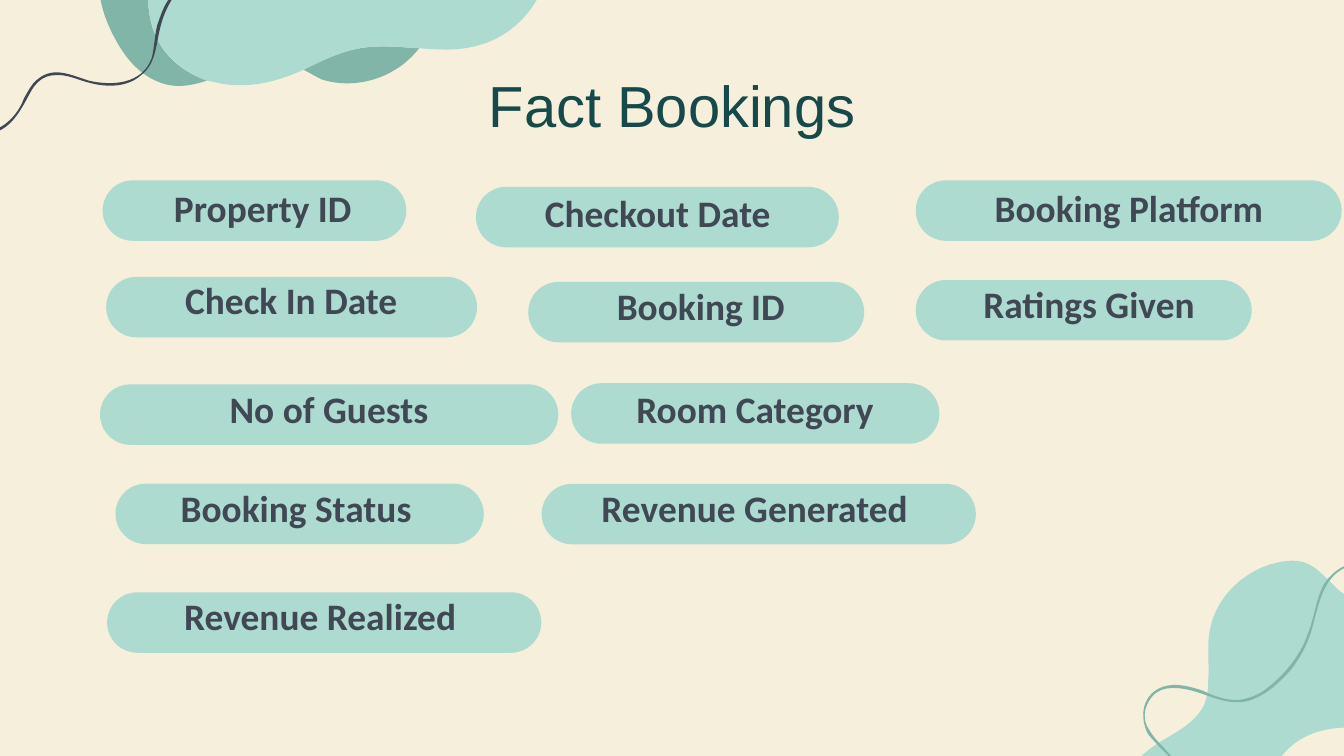
"""Build the Fact Bookings slide with its field pills and wavy decoration."""
from dataclasses import dataclass

from lxml.etree import SubElement
from pptx import Presentation
from pptx.dml.color import RGBColor
from pptx.enum.shapes import MSO_SHAPE
from pptx.enum.text import MSO_ANCHOR, PP_ALIGN
from pptx.oxml.ns import qn
from pptx.util import Pt


@dataclass(frozen=True)
class Theme:
    cream: str = "F6EFDC"
    mint: str = "ADDBD0"
    sage: str = "81B5A8"
    slate: str = "3F4853"
    teal: str = "164A4A"
    heading_font: str = "Arial"
    label_font: str = "Calibri"
    heading_size: float = 31
    label_size: float = 20


THEME = Theme()
GRID = 0.72
PILL_HEIGHT = 32.4
LABEL_WIDTH, LABEL_HEIGHT = 228.2, 21.6

FIELDS = [
    ("Property ID", (55, 96.6, 162.7), (26.7, 103.7, LABEL_WIDTH)),
    ("Checkout Date", (255, 100.1, 194.4), (238.3, 106.6, LABEL_WIDTH)),
    ("Booking Platform", (490.6, 96.6, 228.2), (500.1, 103.7, 209.5)),
    ("Check In Date", (56.9, 148.3, 198.7), (42, 153.4, LABEL_WIDTH)),
    ("Booking ID", (283, 151, 180), (261.4, 156.1, LABEL_WIDTH)),
    ("Ratings Given", (490.6, 150, 180), (469.4, 155.2, LABEL_WIDTH)),
    ("No of Guests", (53.6, 205.9, 245.5), (62.2, 211.3, LABEL_WIDTH)),
    ("Room Category", (306, 205.3, 197.3), (290.4, 211.3, LABEL_WIDTH)),
    ("Booking Status", (61.9, 259.1, 197.3), (44.6, 264.5, LABEL_WIDTH)),
    ("Revenue Generated", (290.2, 259.2, 232.6), (290.2, 264.5, LABEL_WIDTH)),
    ("Revenue Realized", (57.4, 317.3, 232.6), (57.4, 322.2, LABEL_WIDTH)),
]

LEFT_LEAF = [
    (74, -7), (75, 7, 81, 21, 88, 33), (95, 45, 105, 56, 118, 61),
    (130, 66, 142, 64, 154, 60), (137, 54, 123, 43, 116, 27),
    (111, 16, 110, 4, 110, -7),
]
LOWER_LEAF = [
    (263, 37), (250, 40, 238, 46, 226, 52), (230, 54, 235, 57, 239, 59),
    (257, 65, 278, 62, 294, 52), (301, 48, 307, 42, 312, 36),
    (296, 35, 279, 33, 263, 37),
]
TOP_CLOUD = [
    (110, -7), (110, 4, 111, 16, 116, 27), (123, 42, 137, 54, 154, 60),
    (155, 60, 157, 61, 159, 61), (178, 66, 198, 63, 216, 56),
    (219, 55, 223, 53, 226, 52), (238, 46, 250, 40, 263, 37),
    (279, 33, 296, 35, 313, 36), (327, 37, 341, 38, 355, 34),
    (376, 29, 394, 13, 403, -7),
]
CORNER_CLOUD = [
    (1130, 483), (1130, 475, 1128, 467, 1123, 461),
    (1093, 417, 1031, 471, 995, 438), (978, 422, 973, 412, 945, 420),
    (923, 427, 904, 446, 900, 470), (898, 482, 900, 494, 899, 507),
    (899, 514, 898, 522, 894, 528), (882, 547, 854, 551, 843, 571),
    (831, 592, 850, 621, 874, 625), (898, 629, 922, 614, 935, 593),
    (944, 580, 949, 565, 961, 555), (976, 542, 997, 540, 1017, 542),
    (1020, 542, 1022, 542, 1025, 543), (1048, 545, 1071, 550, 1092, 542),
    (1116, 533, 1132, 507, 1130, 483),
]
CORNER_WAVE = [
    (1057, 433), (1044, 426, 1031, 418, 1015, 418),
    (1003, 418, 992, 424, 985, 435), (979, 446, 978, 460, 973, 472),
    (968, 487, 956, 502, 943, 512), (937, 517, 929, 520, 921, 521),
    (912, 521, 903, 518, 895, 514), (883, 510, 868, 506, 857, 516),
    (849, 524, 849, 536, 854, 546), (858, 551, 862, 555, 867, 560),
    (873, 566, 877, 573, 880, 581), (884, 592, 884, 604, 880, 615),
    (880, 616, 881, 616, 882, 615), (886, 603, 886, 589, 880, 577),
    (878, 571, 875, 566, 870, 561), (865, 555, 859, 550, 855, 543),
    (850, 536, 851, 527, 856, 520), (862, 511, 873, 511, 883, 513),
    (898, 516, 911, 525, 927, 522), (940, 519, 951, 509, 960, 499),
    (969, 488, 975, 475, 978, 461), (982, 447, 985, 432, 998, 424),
    (1015, 414, 1035, 423, 1049, 431), (1052, 432, 1054, 433, 1056, 435),
    (1057, 435, 1058, 434, 1057, 433),
]
TOP_WAVE = [
    (152, -26), (140, -19, 131, -10, 124, 2), (121, 7, 119, 13, 117, 19),
    (115, 27, 115, 35, 113, 43), (106, 63, 83, 64, 66, 60),
    (53, 56, 40, 49, 28, 59), (23, 63, 21, 68, 18, 73),
    (15, 81, 10, 88, 3, 93), (-13, 104, -28, 93, -42, 85),
    (-67, 70, -98, 76, -115, 98), (-118, 103, -121, 108, -123, 113),
    (-123, 114, -121, 115, -121, 114), (-116, 98, -104, 86, -88, 81),
    (-71, 75, -53, 80, -39, 89), (-27, 97, -16, 103, -2, 98),
    (10, 93, 16, 81, 22, 70), (26, 62, 32, 56, 41, 56),
    (50, 55, 59, 60, 68, 62), (80, 65, 95, 65, 105, 56),
    (117, 47, 116, 31, 120, 18), (124, 3, 133, -10, 146, -20),
    (148, -22, 150, -23, 153, -24), (154, -25, 153, -27, 152, -26),
]


def rgb(code):
    return RGBColor.from_string(code)


def paint(form, color):
    """Give a form a plain fill without line or shadow."""
    form.shadow.inherit = False
    form.fill.solid()
    form.fill.fore_color.rgb = rgb(color)
    form.line.fill.background()


def add_blob(slide, curves, color):
    """Add a closed, filled form bounded by cubic curves."""
    start, *rest = [[Pt(value * GRID) for value in curve] for curve in curves]
    builder = slide.shapes.build_freeform(*start, scale=1.0)
    builder.add_line_segments([curve[-2:] for curve in rest], close=True)
    blob = builder.convert_to_shape()
    for segment, curve in zip(list(blob.element.iter(qn("a:lnTo"))), rest):
        bend = segment.makeelement(qn("a:cubicBezTo"))
        for x, y in zip(curve[::2], curve[1::2]):
            SubElement(bend, qn("a:pt"), x=str(x - blob.left),
                       y=str(y - blob.top))
        segment.getparent().replace(segment, bend)
    paint(blob, color)


def add_pill(slide, left, top, width):
    """Add a fully rounded bar."""
    pill = slide.shapes.add_shape(MSO_SHAPE.ROUNDED_RECTANGLE, Pt(left),
                                  Pt(top), Pt(width), Pt(PILL_HEIGHT))
    pill.adjustments[0] = 0.5
    paint(pill, THEME.mint)


def add_text(slide, text, left, top, width, height, *, font, size, color,
             bold=False, spacing=1.0):
    """Add a centred line of text in the given format."""
    box = slide.shapes.add_textbox(Pt(left), Pt(top), Pt(width), Pt(height))
    frame = box.text_frame
    frame.word_wrap = True
    frame.vertical_anchor = MSO_ANCHOR.TOP
    frame.margin_left = frame.margin_right = Pt(0)
    frame.margin_top = frame.margin_bottom = Pt(0)
    line = frame.paragraphs[0]
    line.alignment = PP_ALIGN.CENTER
    line.line_spacing = spacing
    run = line.add_run()
    run.text = text
    run.font.name = font
    run.font.size = Pt(size)
    run.font.bold = bold
    run.font.color.rgb = rgb(color)


def main():
    deck = Presentation()
    deck.slide_width, deck.slide_height = Pt(720), Pt(405)
    slide = deck.slides.add_slide(deck.slide_layouts[6])
    slide.background.fill.solid()
    slide.background.fill.fore_color.rgb = rgb(THEME.cream)

    add_blob(slide, LEFT_LEAF, THEME.sage)
    add_blob(slide, LOWER_LEAF, THEME.sage)
    add_blob(slide, TOP_CLOUD, THEME.mint)
    add_blob(slide, CORNER_CLOUD, THEME.mint)
    add_blob(slide, CORNER_WAVE, THEME.sage)
    add_blob(slide, TOP_WAVE, THEME.slate)

    add_text(slide, "Fact Bookings", 56.2, 37.2, 607.7, 36,
             font=THEME.heading_font, size=THEME.heading_size,
             color=THEME.teal)
    for field, pill, label in FIELDS:
        add_pill(slide, *pill)
        add_text(slide, field, *label, LABEL_HEIGHT,
                 font=THEME.label_font, size=THEME.label_size,
                 color=THEME.slate, bold=True, spacing=0.8)
    deck.save("out.pptx")


if __name__ == "__main__":
    main()
